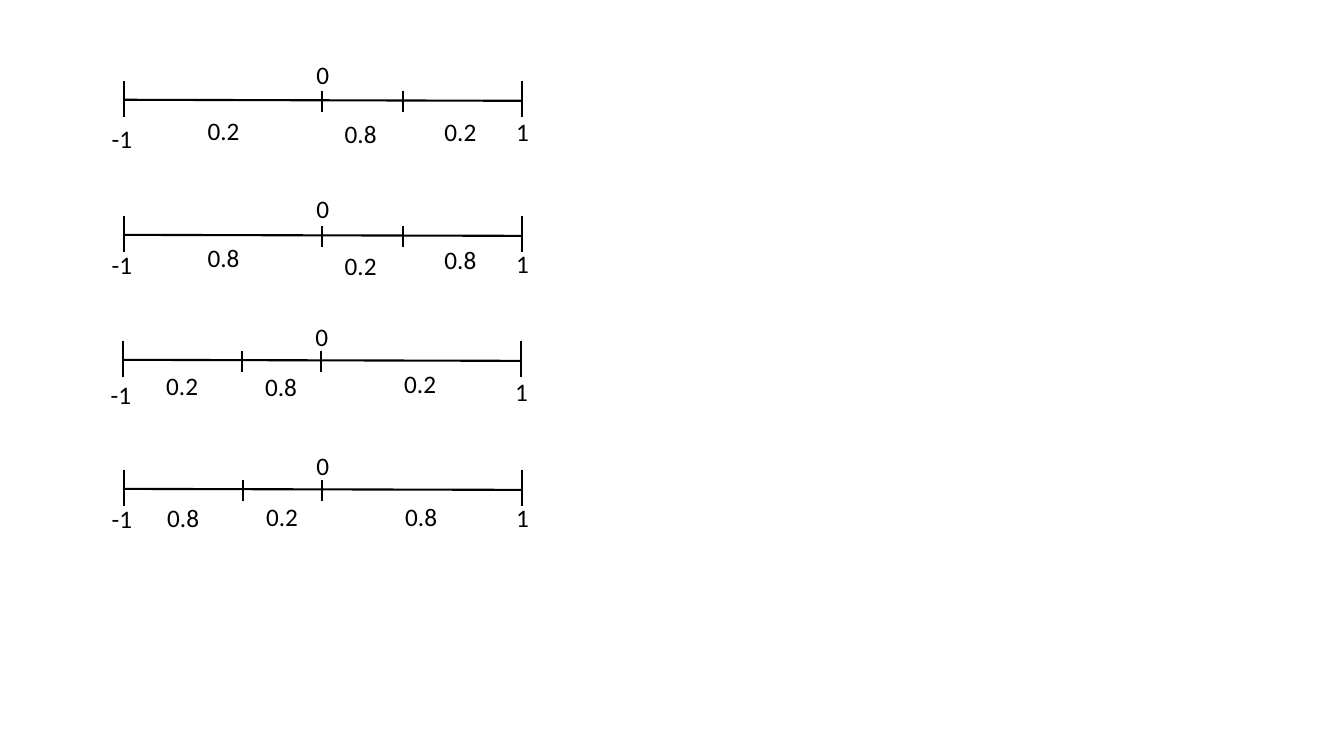
from pptx import Presentation
from pptx.dml.color import RGBColor
from pptx.enum.shapes import MSO_CONNECTOR as Connector
from pptx.enum.text import MSO_AUTO_SIZE as AutoSize
from pptx.oxml.ns import qn
from pptx.util import Inches, Pt
from lxml import etree

BLACK = "000000"
LABEL_FONT = {"name": "Calibri", "size": Pt(18)}
AXIS_LENGTH = 3.95
ZERO = 1.96
LATE_SPLIT = (2.77, (0.73, 2.09, 3.08))
EARLY_SPLIT = (1.18, (0.33, 1.31, 2.69))

AXES = [
    {"left": 1.23, "top": 0.99, "split": LATE_SPLIT, "values": ("0.2", "0.8", "0.2"),
     "value_drops": (0.1, 0.13, 0.11), "end_drops": (0.18, 0.11), "zero_rise": 0.45},
    {"left": 1.23, "top": 2.33, "split": LATE_SPLIT, "values": ("0.8", "0.2", "0.8"),
     "value_drops": (0.03, 0.1, 0.04), "end_drops": (0.09, 0.08), "zero_rise": 0.46},
    {"left": 1.22, "top": 3.57, "split": EARLY_SPLIT, "values": ("0.2", "0.8", "0.2"),
     "value_drops": (0.05, 0.06, 0.04), "end_drops": (0.14, 0.11), "zero_rise": 0.43},
    {"left": 1.23, "top": 4.85, "split": EARLY_SPLIT, "values": ("0.8", "0.2", "0.8"),
     "value_drops": (0.08, 0.07, 0.07), "end_drops": (0.09, 0.08), "zero_rise": 0.43},
]


def color(hex_value):
    return RGBColor.from_string(hex_value)


def add_line(shapes, x1, y1, x2, y2):
    line = shapes.add_connector(Connector.STRAIGHT, *map(Inches, (x1, y1, x2, y2)))
    line.line.color.rgb = color(BLACK)
    line.line.width = Pt(1.5)
    etree.SubElement(line._element.spPr, qn("a:effectLst"))


def add_label(slide, text, left, top, width):
    box = slide.shapes.add_textbox(*map(Inches, (left, top, width, 0.4)))
    frame = box.text_frame
    frame.word_wrap = True
    frame.auto_size = AutoSize.SHAPE_TO_FIT_TEXT
    paragraph = frame.paragraphs[0]
    run = paragraph.add_run()
    run.text = text
    for name, value in LABEL_FONT.items():
        setattr(run.font, name, value)
    run.font.color.rgb = color(BLACK)


def add_axis(slide, left, top, split, values, value_drops, end_drops, zero_rise):
    split_tick, value_offsets = split
    right = left + AXIS_LENGTH
    lines = slide.shapes.add_group_shape().shapes
    add_line(lines, left, top, right, top + 0.01)
    for x in (left, right):
        add_line(lines, x, top - 0.19, x, top + 0.17)
    for offset in (ZERO, split_tick):
        add_line(lines, left + offset, top - 0.09, left + offset, top + 0.12)

    for text, offset, drop in zip(("-1", "1"), (-0.22, 3.79), end_drops):
        add_label(slide, text, left + offset, top + drop, 0.44)
    for text, offset, drop in zip(values, value_offsets, value_drops):
        add_label(slide, text, left + offset, top + drop, 0.55)
    add_label(slide, "0", left + ZERO - 0.15, top - zero_rise, 0.28)


def main():
    presentation = Presentation()
    presentation.slide_width = Inches(13.33)
    presentation.slide_height = Inches(7.5)
    slide = presentation.slides.add_slide(presentation.slide_layouts[6])
    for axis in AXES:
        add_axis(slide, **axis)
    presentation.save("out.pptx")


if __name__ == "__main__":
    main()
